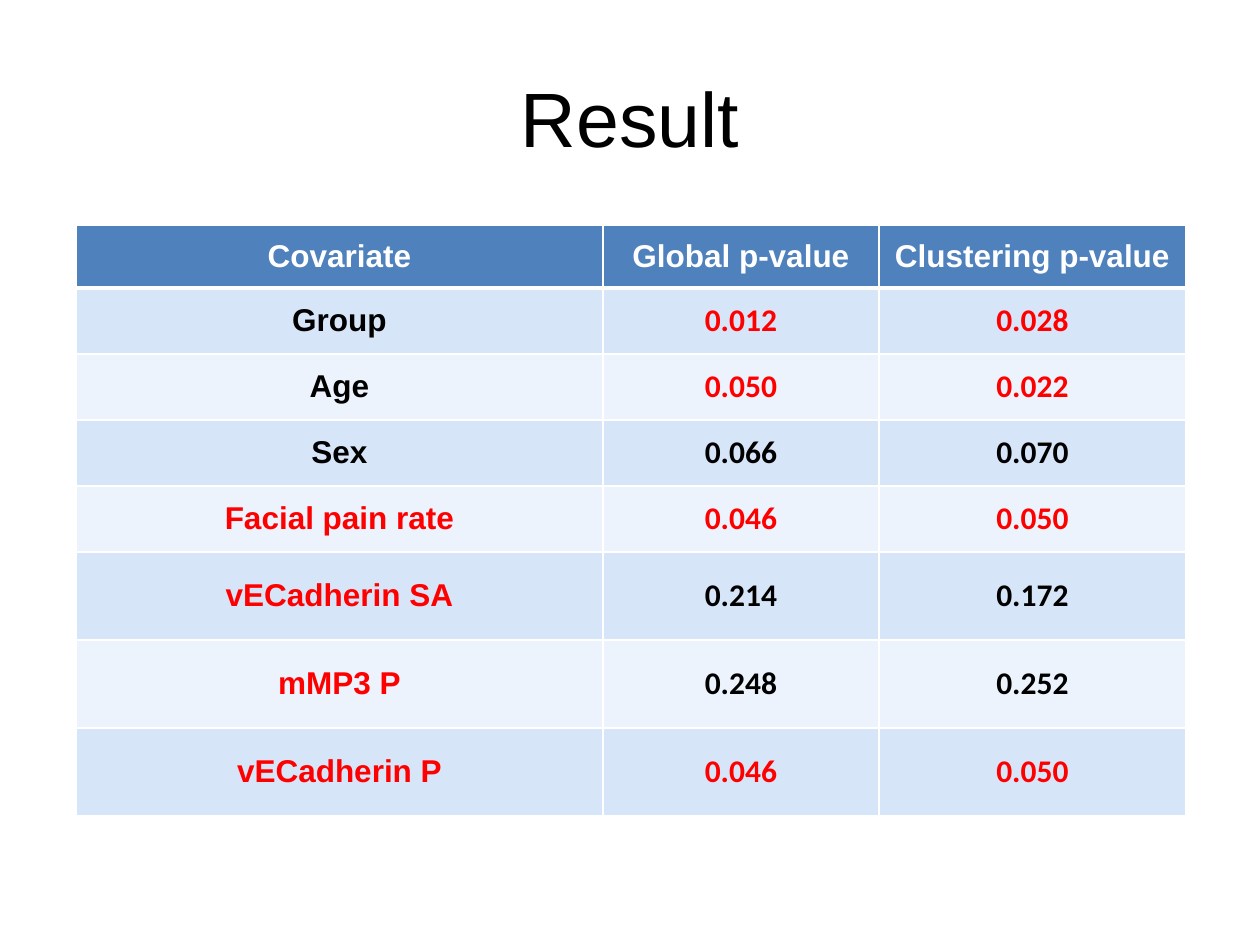
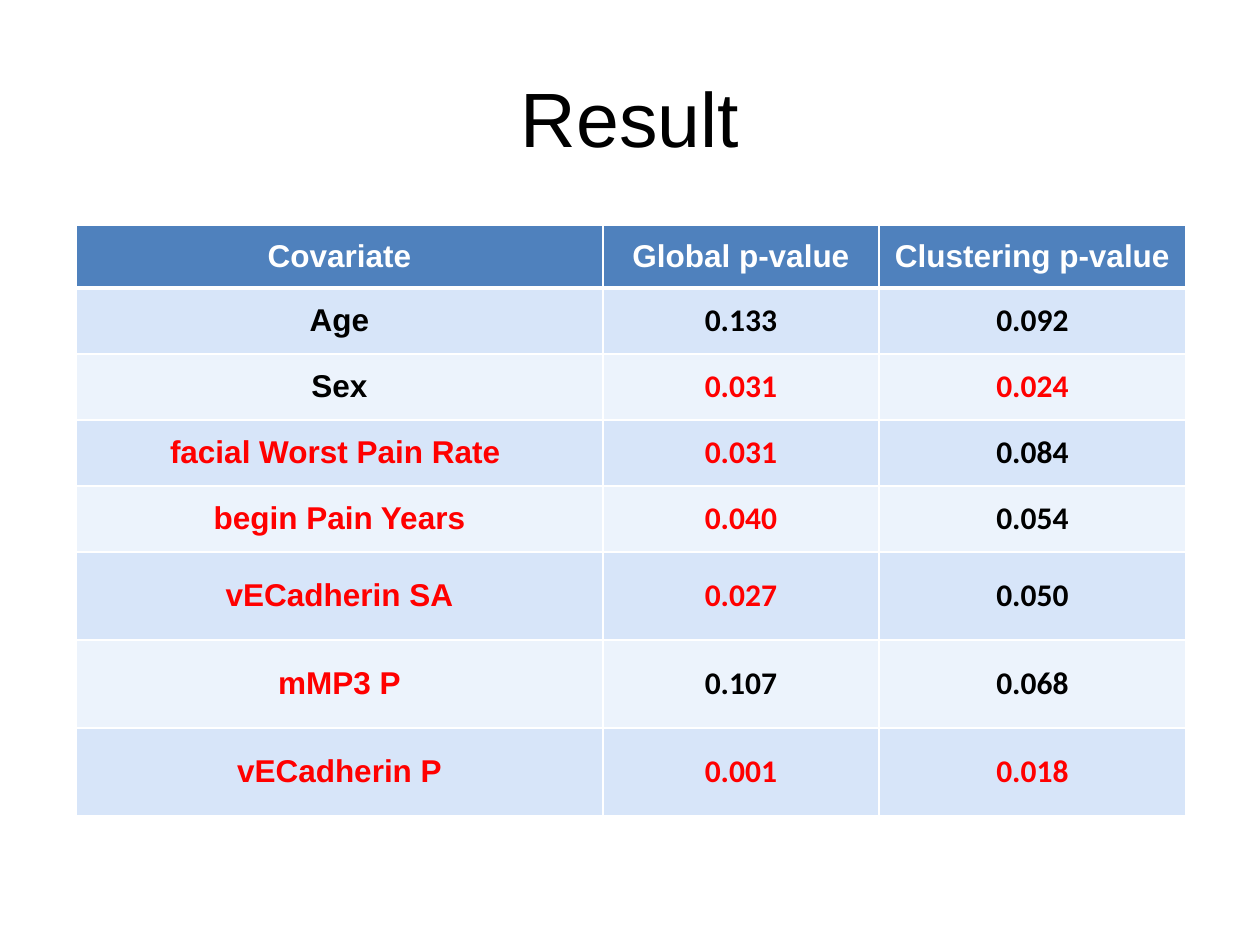
"""Build two result slides, each with a table of covariate p-values."""
from lxml import etree
from pptx import Presentation
from pptx.dml.color import RGBColor
from pptx.enum.text import MSO_ANCHOR, PP_ALIGN
from pptx.oxml.ns import qn
from pptx.util import Emu, Pt

CENTER = PP_ALIGN.CENTER
MIDDLE = MSO_ANCHOR.MIDDLE
EMU_PER_PX = 914400 / 126

WHITE = RGBColor(0xFF, 0xFF, 0xFF)
BLACK = RGBColor(0x00, 0x00, 0x00)
RED = RGBColor(0xFF, 0x00, 0x00)
HEADER_BLUE = RGBColor(0x4F, 0x81, 0xBD)
BAND_FILLS = (RGBColor(0xD7, 0xE5, 0xF9), RGBColor(0xEC, 0xF3, 0xFC))
TEXT_COLORS = {"k": BLACK, "r": RED, "w": WHITE}

LABEL_FONT = "Arial"
VALUE_FONT = "Calibri"

TABLE_LEFT, TABLE_TOP = 76, 225
COLUMN_WIDTHS = (527, 276, 307)
ROW_HEIGHTS = (63, *[66] * 4, *[88] * 3)
HEADER = ("Covariate", "Global p-value", "Clustering p-value", "www")

GROUP_ROWS = (
    ("Group", "0.012", "0.028", "krr"),
    ("Age", "0.050", "0.022", "krr"),
    ("Sex", "0.066", "0.070", "kkk"),
    ("Facial pain rate", "0.046", "0.050", "rrr"),
    ("vECadherin SA", "0.214", "0.172", "rkk"),
    ("mMP3 P", "0.248", "0.252", "rkk"),
    ("vECadherin P", "0.046", "0.050", "rrr"),
)
PAIN_ROWS = (
    ("Age", "0.133", "0.092", "kkk"),
    ("Sex", "0.031", "0.024", "krr"),
    ("facial Worst Pain Rate ", "0.031", "0.084", "rrk"),
    ("begin Pain Years", "0.040", "0.054", "rrk"),
    ("vECadherin SA", "0.027", "0.050", "rrk"),
    ("mMP3 P", "0.107", "0.068", "rkk"),
    ("vECadherin P", "0.001", "0.018", "rrr"),
)


def px(length):
    """Turn whole pixels into EMU."""
    return Emu(round(length * EMU_PER_PX))


def write_text(frame, text, *, size=18, font=LABEL_FONT, color=BLACK, bold=False):
    """Write one centred line into a text frame."""
    para = frame.paragraphs[0]
    para.alignment = CENTER
    span = para.add_run()
    span.text = text
    span.font.size = Pt(size)
    span.font.name = font
    span.font.color.rgb = color
    span.font.bold = bold


def add_title(page, text):
    """Add the large centred title."""
    box = page.shapes.add_textbox(px(63), px(38), px(1134), px(157))
    frame = box.text_frame
    frame.word_wrap = True
    frame.vertical_anchor = MIDDLE
    write_text(frame, text, size=44)


def set_borders(cell, top=1, bottom=1):
    """Draw white borders of the given point widths, placed before the fill."""
    properties = cell._tc.get_or_add_tcPr()
    sides = (("lnL", 1), ("lnR", 1), ("lnT", top), ("lnB", bottom))
    for position, (side, width) in enumerate(sides):
        line = etree.Element(qn(f"a:{side}"), w=str(Pt(width)))
        fill = etree.SubElement(line, qn("a:solidFill"))
        etree.SubElement(fill, qn("a:srgbClr"), val=str(WHITE))
        properties.insert(position, line)


def format_cell(cell, text, row, column, color):
    """Fill one table cell and style it by its place in the table."""
    is_value = row > 0 and column > 0
    cell.margin_left = cell.margin_right = px(0 if is_value else 13)
    cell.margin_top = cell.margin_bottom = px(0 if is_value else 6)
    cell.vertical_anchor = MIDDLE
    cell.fill.solid()
    cell.fill.fore_color.rgb = BAND_FILLS[(row - 1) % 2] if row else HEADER_BLUE
    set_borders(cell, top=3 if row == 1 else 1, bottom=3 if row == 0 else 1)
    font = VALUE_FONT if is_value else LABEL_FONT
    write_text(cell.text_frame, text, font=font, color=color, bold=True)


def add_p_value_table(page, body):
    """Add the table of covariates below its header row."""
    table = page.shapes.add_table(
        len(ROW_HEIGHTS), len(COLUMN_WIDTHS), px(TABLE_LEFT), px(TABLE_TOP),
        px(sum(COLUMN_WIDTHS)), px(sum(ROW_HEIGHTS))).table
    for column, width in zip(table.columns, COLUMN_WIDTHS):
        column.width = px(width)
    for row, height in zip(table.rows, ROW_HEIGHTS):
        row.height = px(height)
    for row, (*texts, color_keys) in enumerate((HEADER, *body)):
        for column, (text, key) in enumerate(zip(texts, color_keys)):
            format_cell(table.cell(row, column), text, row, column, TEXT_COLORS[key])


def main():
    """Build and save the deck."""
    deck = Presentation()
    deck.slide_width, deck.slide_height = px(1260), px(945)
    for body in (GROUP_ROWS, PAIN_ROWS):
        page = deck.slides.add_slide(deck.slide_layouts[6])
        add_title(page, "Result")
        add_p_value_table(page, body)
    deck.save("out.pptx")


if __name__ == "__main__":
    main()
